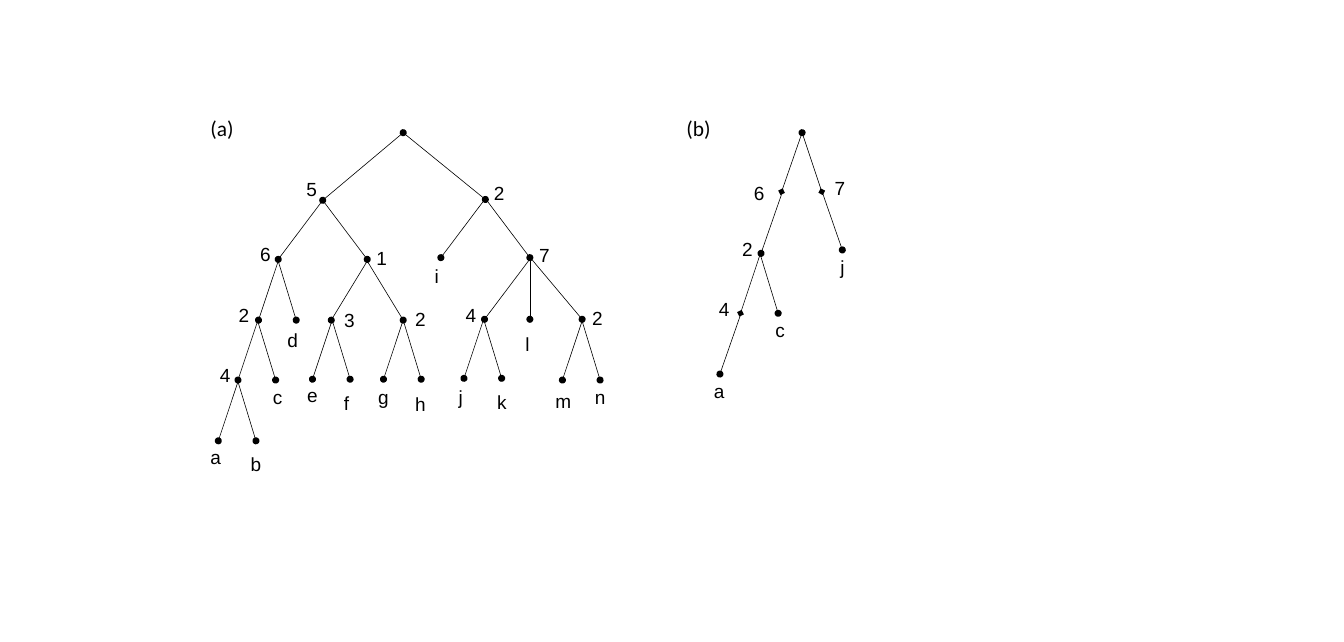
from lxml import etree
from pptx import Presentation
from pptx.dml.color import RGBColor
from pptx.enum.shapes import MSO_CONNECTOR
from pptx.enum.text import MSO_AUTO_SIZE
from pptx.oxml.ns import qn
from pptx.util import Inches, Pt

STRAIGHT = MSO_CONNECTOR.STRAIGHT
GROW = MSO_AUTO_SIZE.SHAPE_TO_FIT_TEXT

WIDTHS = {
    "a": 0.32, "b": 0.31, "c": 0.29, "d": 0.32, "e": 0.29, "f": 0.27, "g": 0.31,
    "h": 0.32, "i": 0.27, "j": 0.26, "k": 0.31, "l": 0.26, "m": 0.38, "n": 0.33,
    "1": 0.3, "2": 0.33, "3": 0.31, "4": 0.34, "5": 0.31, "6": 0.33, "7": 0.32,
}

FORKS = [
    (3.25, 3.05), (3.01, 3.75), (2.78, 4.46), (3.88, 3.74),
    (4.71, 3.74), (5.65, 3.73), (6.8, 3.75),
]
WIDE = [(3.77, 2.34, 0.52), (4.29, 3.05, 0.42), (5.67, 2.32, 0.52)]

EDGES = [
    ((3.77, 2.34), (4.71, 1.55), "oval", "oval"),
    ((5.67, 2.33), (4.71, 1.55), "oval", None),
    ((5.66, 3.73), (6.18, 3.04), "oval", None),
    ((6.19, 3.04), (6.19, 3.73), None, "oval"),
    ((6.8, 3.73), (6.22, 3.04), "oval", None),
    ((8.41, 4.37), (8.65, 3.68), "oval", None),
    ((8.89, 2.96), (9.13, 2.27), "oval", None),
    ((9.13, 2.24), (9.37, 1.55), "diamond", "oval"),
    ((9.6, 2.24), (9.37, 1.55), "diamond", None),
    ((9.84, 2.92), (9.6, 2.23), "oval", None),
]

LABELS = [
    ("a", 2.36, 5.16), ("b", 2.83, 5.24), ("c", 3.09, 4.45), ("d", 3.26, 3.79),
    ("e", 3.49, 4.43), ("f", 3.92, 4.53), ("g", 4.32, 4.45), ("h", 4.75, 4.54),
    ("i", 4.98, 3.04), ("j", 5.26, 4.45), ("k", 5.71, 4.51), ("l", 6.04, 3.83),
    ("m", 6.39, 4.5), ("n", 6.85, 4.46),
    ("5", 3.48, 2.02), ("2", 5.67, 2.07), ("6", 2.94, 2.78), ("1", 4.3, 2.83),
    ("7", 6.2, 2.79), ("2", 2.69, 3.5), ("3", 3.92, 3.55), ("2", 4.75, 3.54),
    ("4", 5.34, 3.5), ("2", 6.82, 3.53), ("4", 2.47, 4.2),
    ("6", 8.71, 2.07), ("7", 9.65, 2.01), ("2", 8.57, 2.73), ("4", 8.3, 3.43),
    ("a", 8.24, 4.38), ("c", 8.96, 3.67), ("j", 9.72, 2.94),
]


def color(code):
    """Turn a hex string into a colour."""
    return RGBColor.from_string(code)


class Canvas:
    """Hold the slide and its style, and draw tree parts on it."""

    ink = "000000"

    def __init__(self, slide):
        """Keep the slide to draw on."""
        self.slide = slide

    def edge(self, start, end, head=None, tail=None):
        """Draw a thin line with optional node marks at its ends."""
        ends = [Inches(n) for n in (*start, *end)]
        line = self.slide.shapes.add_connector(STRAIGHT, *ends)
        line.line.width = Pt(0.5)
        line.line.fill.solid()
        line.line.fill.fore_color.rgb = color(self.ink)
        props = line.line.fill._xPr
        for tag, kind in (("a:headEnd", head), ("a:tailEnd", tail)):
            if kind:
                etree.SubElement(props, qn(tag), type=kind)
        etree.SubElement(props.getparent(), qn("a:effectLst"))

    def fork(self, x, y, left=0.23, right=0.21, drop=0.69, mark="oval"):
        """Draw two branches down from one node."""
        self.edge((x - left, y + drop), (x, y), head=mark)
        self.edge((x, y), (x + right, y + drop), tail="oval")

    def label(self, text, x, y, width, height=0.37, size=16, font="Arial"):
        """Place a short text that does not wrap."""
        box = self.slide.shapes.add_textbox(
            Inches(x), Inches(y), Inches(width), Inches(height))
        frame = box.text_frame
        frame.word_wrap = False
        frame.auto_size = GROW
        para = frame.paragraphs[0]
        para.text = text
        para.font.size = Pt(size)
        para.font.name = font
        para.font.color.rgb = color(self.ink)


def main():
    """Build the slide with both trees."""
    deck = Presentation()
    deck.slide_width, deck.slide_height = Inches(15.7), Inches(7.5)
    canvas = Canvas(deck.slides.add_slide(deck.slide_layouts[6]))
    for x, y in FORKS:
        canvas.fork(x, y)
    for x, y, half in WIDE:
        canvas.fork(x, y, half, half)
    canvas.fork(8.88, 2.97, mark="diamond")
    for edge in EDGES:
        canvas.edge(*edge)
    for text, x, y in LABELS:
        canvas.label(text, x, y, WIDTHS[text])
    for text, x in (("(a)", 2.36), ("(b)", 7.92)):
        canvas.label(text, x, 1.29, 0.48, 0.4, 18, "Calibri")
    deck.save("out.pptx")


if __name__ == "__main__":
    main()
